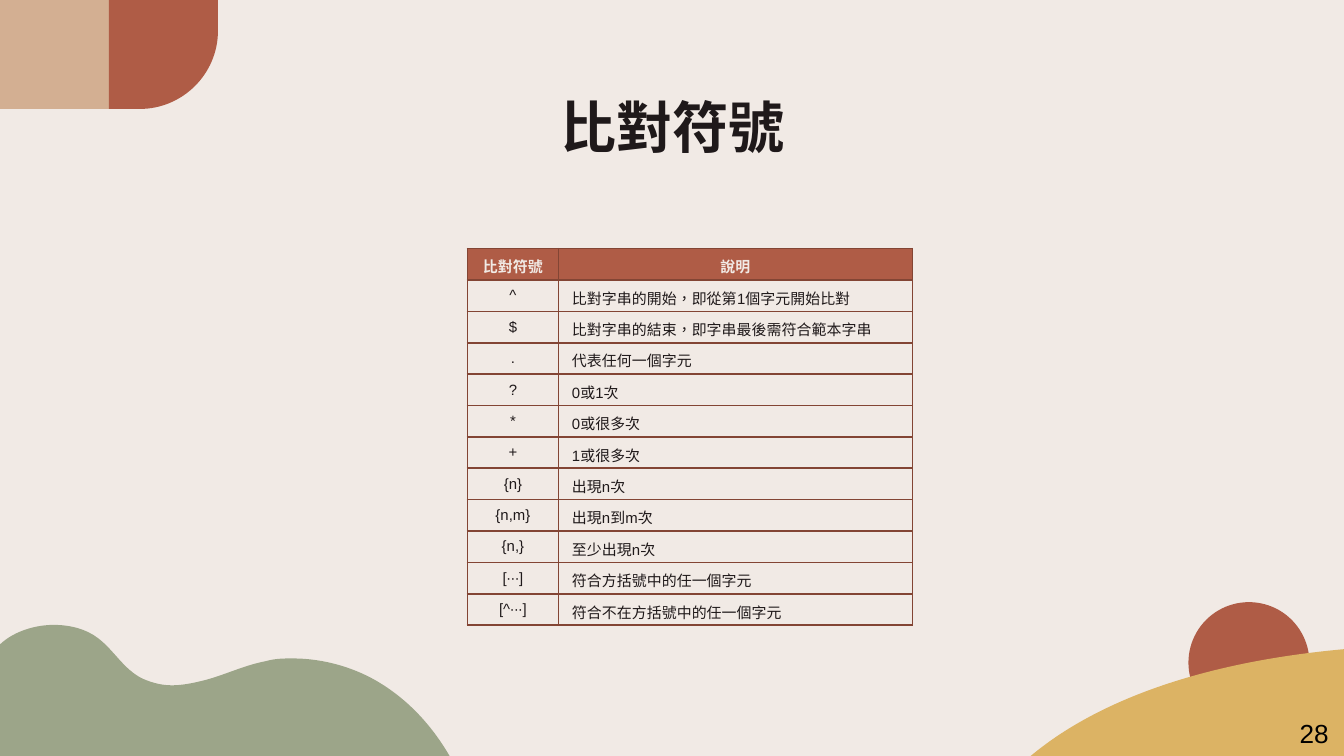
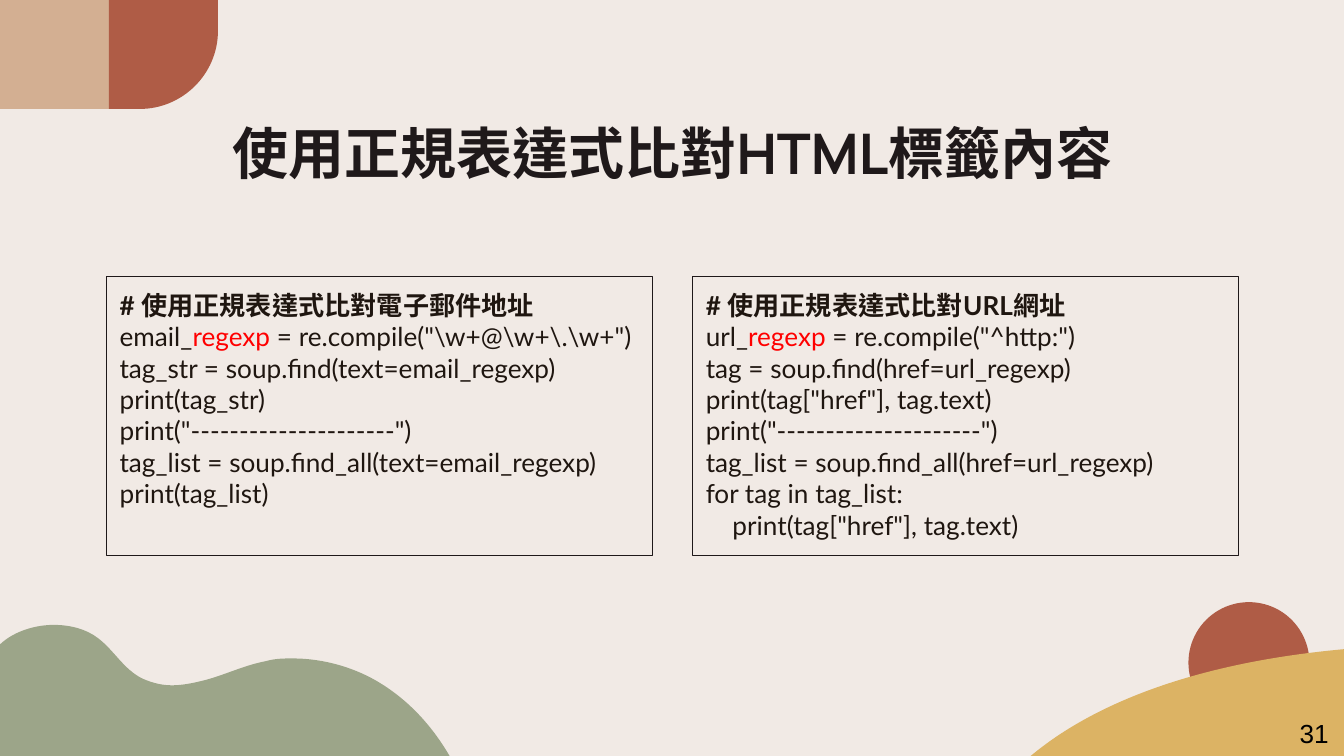
from dataclasses import dataclass

from lxml import etree
from pptx import Presentation
from pptx.dml.color import RGBColor
from pptx.enum.lang import MSO_LANGUAGE_ID as Language
from pptx.enum.shapes import MSO_SHAPE as Preset
from pptx.enum.text import MSO_ANCHOR as Anchor, MSO_AUTO_SIZE as AutoSize, PP_ALIGN as Align
from pptx.oxml.ns import qn
from pptx.slide import Slide, SlideLayout
from pptx.util import Pt

# Palette and fonts
CREAM = RGBColor(0xF1, 0xEA, 0xE5)
SAGE = RGBColor(0x9C, 0xA5, 0x89)
TERRACOTTA = RGBColor(0xAF, 0x5C, 0x46)
OCHRE = RGBColor(0xDC, 0xB3, 0x64)
SAND = RGBColor(0xD3, 0xAF, 0x92)
INK = RGBColor(0x1F, 0x19, 0x1A)
CODE_INK = RGBColor(0x1F, 0x16, 0x10)
RED = RGBColor(0xFF, 0x00, 0x00)
BLACK = RGBColor(0x00, 0x00, 0x00)
TABLE_LINE = "834534"
TITLE_FONT, BODY_FONT, CODE_FONT = "Manrope", "Arial", "Lato"

# Page and grid, in points
PAGE_WIDTH, PAGE_HEIGHT = 720, 405
SIDE_MARGIN = 57
INSET = 7.2
CORNER = 58.4
CODE_TOP, CODE_WIDTH, CODE_HEIGHT, CODE_GAP = 147.8, 292.4, 149.6, 21.6
TABLE_LEFT, TABLE_TOP, ROW_HEIGHT = 250.4, 133.2, 16.8
COLUMN_WIDTHS = (48.8, 189.6)
CELL_MARGIN, CHINESE_CELL_BOTTOM = 3.6, 1.5

Point = tuple[float, float]


@dataclass(frozen=True)
class Outline:
    """Start point, then one end point per line or three points per curve."""
    color: RGBColor
    start: Point
    segments: tuple[tuple[Point, ...], ...]


@dataclass(frozen=True)
class Block:
    preset: Preset
    color: RGBColor
    left: float
    top: float
    size: float


@dataclass(frozen=True)
class CodeBox:
    comment: str
    prefix: str
    definition: str
    lines: tuple[str, ...]


DECORATIONS = (
    Outline(SAGE, (28.8, 334.8), (
        ((16.6, 334.8), (3.6, 339.8), (-2.9, 348.5)),
        ((-1.4, 409),),
        ((243.4, 409.7),),
        ((234.7, 393.1), (221.8, 377.3), (204.5, 366.5)),
        ((190.8, 357.8), (173.5, 352.8), (157, 352.8)),
        ((151.9, 352.8), (147.6, 352.8), (142.6, 354.2)),
        ((131, 356.4), (121, 361.4), (110.2, 364.3)),
        ((104.4, 365.8), (97.9, 367.2), (92.2, 367.2)),
        ((86.4, 367.2), (81.4, 365.8), (76.3, 363.6)),
        ((66.2, 358.6), (61.2, 348.5), (52.6, 342)),
        ((46.1, 336.9), (37.4, 334.8), (28.8, 334.8)),
    )),
    Block(Preset.OVAL, TERRACOTTA, 636.7, 322.6, 64.8),
    Outline(OCHRE, (552.2, PAGE_HEIGHT), (
        ((576.7, 384.5), (625.7, 356.4), (PAGE_WIDTH, 347.8)),
        ((PAGE_WIDTH, PAGE_HEIGHT),),
    )),
    Block(Preset.RECTANGLE, SAND, 0, 0, CORNER),
    Outline(TERRACOTTA, (2 * CORNER, 16.6), (
        ((2 * CORNER, 39.6), (97.9, CORNER), (74.9, CORNER)),
        ((CORNER, CORNER),),
        ((CORNER, 0),),
        ((2 * CORNER, 0),),
    )),
)

SYMBOL_ROWS = (
    ("比對符號", "說明"),
    ("^", "比對字串的開始，即從第1個字元開始比對"),
    ("$", "比對字串的結束，即字串最後需符合範本字串"),
    (".", "代表任何一個字元"),
    ("?", "0或1次"),
    ("*", "0或很多次"),
    ("+", "1或很多次"),
    ("{n}", "出現n次"),
    ("{n,m}", "出現n到m次"),
    ("{n,}", "至少出現n次"),
    ("[∙∙∙]", "符合方括號中的任一個字元"),
    ("[^∙∙∙]", "符合不在方括號中的任一個字元"),
)

SEPARATOR = 'print("---------------------")'
CODE_BOXES = (
    CodeBox("# 使用正規表達式比對電子郵件地址", "email_", r' = re.compile("\w+@\w+\.\w+")', (
        "tag_str = soup.find(text=email_regexp)",
        "print(tag_str)",
        SEPARATOR,
        "tag_list = soup.find_all(text=email_regexp)",
        "print(tag_list)",
    )),
    CodeBox("# 使用正規表達式比對URL網址", "url_", ' = re.compile("^http:")', (
        "tag = soup.find(href=url_regexp)",
        'print(tag["href"], tag.text)',
        SEPARATOR,
        "tag_list = soup.find_all(href=url_regexp)",
        "for tag in tag_list:",
        '    print(tag["href"], tag.text)',
    )),
)


def style_paragraph(paragraph, name: str, size: float, color: RGBColor,
                    bold: bool = False, align: Align = Align.LEFT) -> None:
    paragraph.alignment = align
    font = paragraph.font
    font.name, font.size, font.bold = name, Pt(size), bold
    font.color.rgb = color
    for run in paragraph.runs:
        run.font.language_id = Language.TRADITIONAL_CHINESE


def set_insets(frame) -> None:
    frame.margin_left = frame.margin_right = Pt(INSET)
    frame.margin_top = frame.margin_bottom = Pt(INSET)


# Decorations
def draw_outline(slide: Slide, outline: Outline):
    """Build the control polygon, then bend each three-point group into a curve."""
    builder = slide.shapes.build_freeform(*map(Pt, outline.start))
    builder.add_line_segments(
        [(Pt(x), Pt(y)) for segment in outline.segments for x, y in segment], close=True)
    shape = builder.convert_to_shape()
    lines = iter(list(shape.element.iter(qn("a:lnTo"))))
    for segment in outline.segments:
        group = [next(lines) for _ in segment]
        if len(group) == 3:
            curve = etree.Element(qn("a:cubicBezTo"))
            group[0].addprevious(curve)
            for line in group:
                curve.append(line[0])
                line.getparent().remove(line)
    return shape


def draw_decoration(slide: Slide, item: Outline | Block):
    if isinstance(item, Block):
        shape = slide.shapes.add_shape(item.preset, Pt(item.left), Pt(item.top),
                                       Pt(item.size), Pt(item.size))
    else:
        shape = draw_outline(slide, item)
    shape.shadow.inherit = False
    shape.fill.solid()
    shape.fill.fore_color.rgb = item.color
    shape.line.fill.background()
    return shape


def decorate_layout(layout: SlideLayout, slide: Slide) -> None:
    """Draw the shared background shapes on a slide and move them to its layout."""
    layout.background.fill.solid()
    layout.background.fill.fore_color.rgb = CREAM
    title, *others = list(layout.placeholders)
    for placeholder in others:
        layout.shapes.element.remove(placeholder.element)
    for item in DECORATIONS:
        title.element.addprevious(draw_decoration(slide, item).element)


# Title and page number
def add_heading(slide: Slide, text: str, top: float, number: int) -> None:
    title = slide.shapes.title
    title.left, title.top, title.width, title.height = Pt(SIDE_MARGIN), Pt(top), Pt(606.6), Pt(37.4)
    frame = title.text_frame
    frame.text = text
    frame.auto_size = AutoSize.NONE
    frame.vertical_anchor = Anchor.TOP
    set_insets(frame)
    style_paragraph(frame.paragraphs[0], TITLE_FONT, 30, INK, True, Align.CENTER)

    box = slide.shapes.add_textbox(Pt(689.2), Pt(380.9), Pt(30.8), Pt(24.1))
    box.text_frame.text = str(number)
    box.text_frame.word_wrap = True
    box.text_frame.auto_size = AutoSize.SHAPE_TO_FIT_TEXT
    style_paragraph(box.text_frame.paragraphs[0], BODY_FONT, 14, BLACK)


# Symbol table
def add_borders(cell) -> None:
    properties = cell._tc.get_or_add_tcPr()
    for index, side in enumerate(("lnL", "lnR", "lnT", "lnB")):
        line = etree.Element(qn(f"a:{side}"), w=str(Pt(1)))
        fill = etree.SubElement(line, qn("a:solidFill"))
        etree.SubElement(fill, qn("a:srgbClr"), val=TABLE_LINE)
        properties.insert(index, line)


def add_symbol_table(slide: Slide) -> None:
    table = slide.shapes.add_table(
        len(SYMBOL_ROWS), len(COLUMN_WIDTHS), Pt(TABLE_LEFT), Pt(TABLE_TOP),
        Pt(sum(COLUMN_WIDTHS)), Pt(ROW_HEIGHT * len(SYMBOL_ROWS))).table
    table.horz_banding = False
    for column, width in zip(table.columns, COLUMN_WIDTHS):
        column.width = Pt(width)
    for row_index, texts in enumerate(SYMBOL_ROWS):
        table.rows[row_index].height = Pt(ROW_HEIGHT)
        header = row_index == 0
        for column_index, text in enumerate(texts):
            centered = header or column_index == 0
            chinese = header or column_index == 1
            cell = table.cell(row_index, column_index)
            cell.text = text
            cell.vertical_anchor = Anchor.MIDDLE
            cell.margin_top = Pt(CELL_MARGIN)
            cell.margin_bottom = Pt(CHINESE_CELL_BOTTOM if chinese else CELL_MARGIN)
            if header:
                cell.fill.solid()
                cell.fill.fore_color.rgb = TERRACOTTA
            else:
                cell.fill.background()
            add_borders(cell)
            style_paragraph(cell.text_frame.paragraphs[0], BODY_FONT, 8,
                            CREAM if header else INK, header,
                            Align.CENTER if centered else Align.LEFT)


# Code boxes
def add_code_box(slide: Slide, code: CodeBox, left: float) -> None:
    shape = slide.shapes.add_shape(Preset.RECTANGLE, Pt(left), Pt(CODE_TOP),
                                   Pt(CODE_WIDTH), Pt(CODE_HEIGHT))
    shape.shadow.inherit = False
    shape.fill.background()
    shape.line.color.rgb = INK
    shape.line.width = Pt(0.25)
    frame = shape.text_frame
    frame.word_wrap = True
    frame.vertical_anchor = Anchor.TOP
    set_insets(frame)
    lines = ((code.comment,), (code.prefix, "regexp", code.definition),
             *((line,) for line in code.lines))
    for index, parts in enumerate(lines):
        paragraph = frame.paragraphs[0] if index == 0 else frame.add_paragraph()
        for part in parts:
            run = paragraph.add_run()
            run.text = part
            if part == "regexp":
                run.font.color.rgb = RED
        style_paragraph(paragraph, CODE_FONT, 14, CODE_INK, index == 0, Align.JUSTIFY)


def main() -> None:
    presentation = Presentation()
    presentation.slide_width, presentation.slide_height = Pt(PAGE_WIDTH), Pt(PAGE_HEIGHT)
    layout = presentation.slide_layouts.get_by_name("Title Only")

    symbols = presentation.slides.add_slide(layout)
    decorate_layout(layout, symbols)
    add_heading(symbols, "比對符號", 42.5, 28)
    add_symbol_table(symbols)

    matching = presentation.slides.add_slide(layout)
    add_heading(matching, "使用正規表達式比對HTML標籤內容", 56.2, 31)
    for index, code in enumerate(CODE_BOXES):
        add_code_box(matching, code, SIDE_MARGIN + index * (CODE_WIDTH + CODE_GAP))

    presentation.save("out.pptx")


if __name__ == "__main__":
    main()
